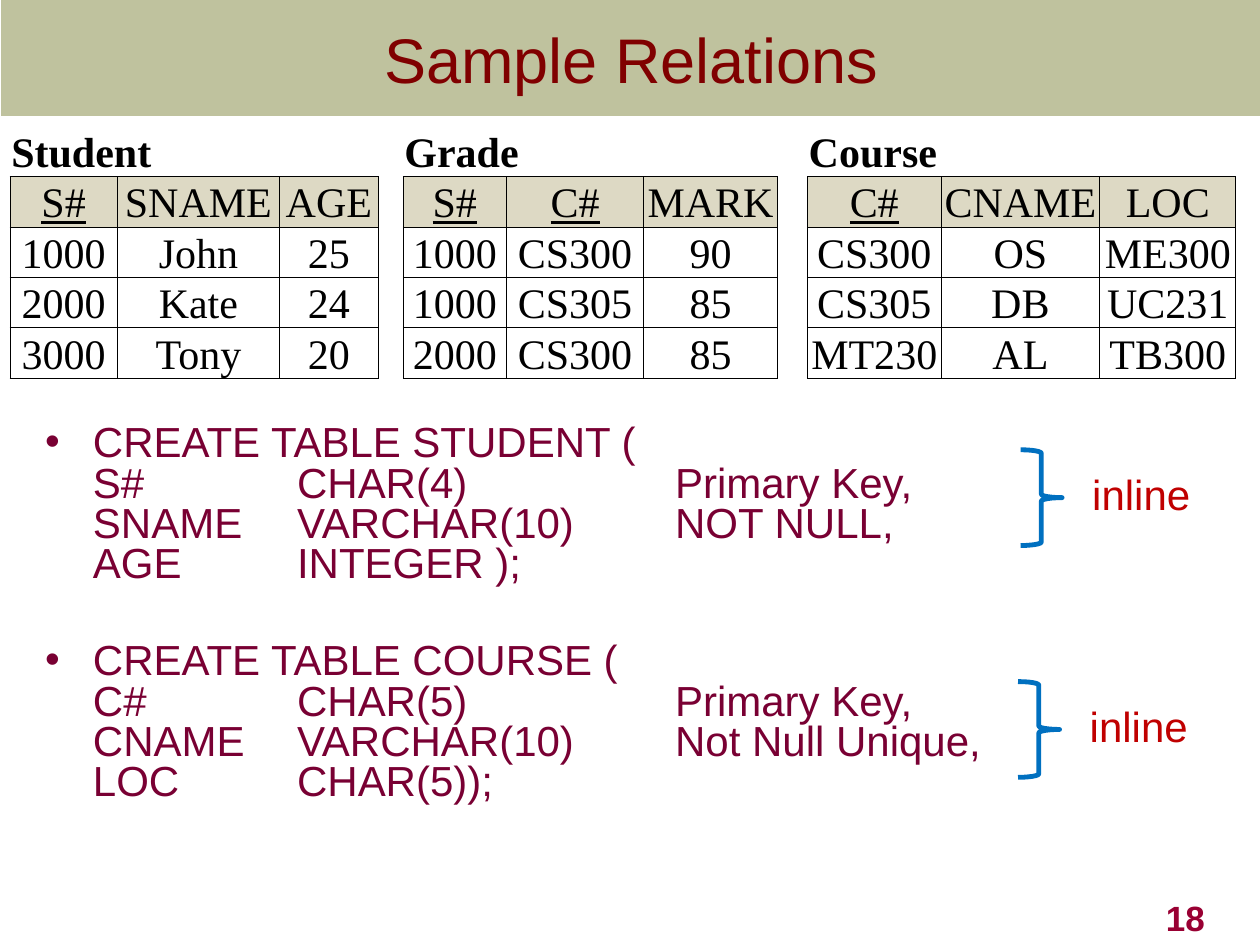
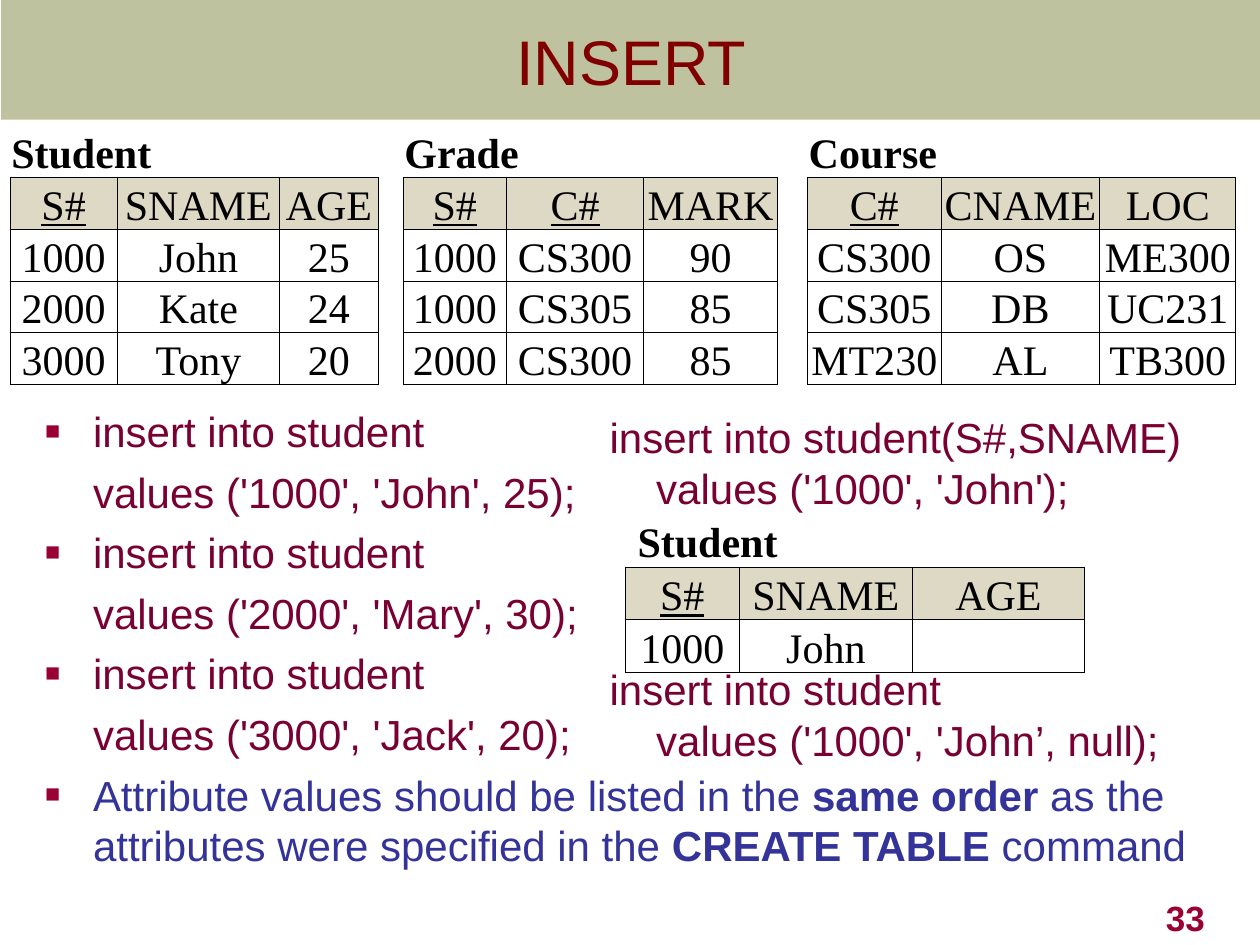
from dataclasses import dataclass

from lxml import etree
from pptx import Presentation
from pptx import util as u
from pptx.dml.color import RGBColor
from pptx.enum import shapes, text
from pptx.oxml.ns import qn

Inches, Pt = u.Inches, u.Pt

COLORS = {
    "band": "6E7524", "title": "800000", "code": "790033", "number": "990033",
    "note": "333399", "inline": "C00000", "brace": "0070C0",
    "header": "DDD9C4", "cell": "FFFFFF", "ink": "000000",
}
SANS, SERIF = "Arial", "Times New Roman"
HANG = 0.38


@dataclass
class Relation:
    name: str
    header: list[str]
    keys: int  # number of leading key columns, underlined
    widths: list[float]
    rows: list[list[str]]


@dataclass
class Line:
    runs: list[tuple[str, bool]]
    color: str = "code"
    bullet: str = ""
    margin: float = HANG
    before: float = 5.8
    spacing: float = 1.0


STUDENT = Relation("Student", ["S#", "SNAME", "AGE"], 1, [0.85, 1.29, 0.78],
                   [["1000", "John", "25"], ["2000", "Kate", "24"], ["3000", "Tony", "20"]])
GRADE = Relation("Grade", ["S#", "C#", "MARK"], 2, [0.82, 1.09, 1.06],
                 [["1000", "CS300", "90"], ["1000", "CS305", "85"], ["2000", "CS300", "85"]])
COURSE = Relation("Course", ["C#", "CNAME", "LOC"], 1, [1.06, 1.26, 1.08],
                  [["CS300", "OS", "ME300"], ["CS305", "DB", "UC231"], ["MT230", "AL", "TB300"]])
INSERTED = Relation("Student", ["S#", "SNAME", "AGE"], 1, [0.91, 1.37, 1.37],
                    [["1000", "John", ""]])


def rgb(name: str) -> RGBColor:
    return RGBColor.from_string(COLORS[name])


def add_text(p, content: str, *, size=24, color="code", font=SANS, bold=False, underline=False) -> None:
    for i, part in enumerate(content.split("\n")):
        if i:
            p.add_line_break()
        r = p.add_run()
        r.text = part
        r.font.size, r.font.name = Pt(size), font
        r.font.bold, r.font.underline = bold, underline
        r.font.color.rgb = rgb(color)


def add_box(s, left: float, top: float, width: float, height: float, wrap=True):
    tf = s.shapes.add_textbox(Inches(left), Inches(top), Inches(width), Inches(height)).text_frame
    tf.word_wrap = wrap
    return tf


# Shared slide parts
def add_slide(prs, title: str, number: str, band_height: float):
    s = prs.slides.add_slide(prs.slide_layouts[5])
    sp = s.shapes.title
    sp.left, sp.top = Inches(0.01), Inches(0)
    sp.width, sp.height = Inches(10), Inches(band_height)
    sp.fill.solid()
    sp.fill.fore_color.rgb = rgb("band")
    color = sp.fill._xPr.find(qn("a:solidFill"))[0]
    etree.SubElement(color, qn("a:alpha"), val="44000")
    tf = sp.text_frame
    tf.auto_size = text.MSO_AUTO_SIZE.NONE
    tf.vertical_anchor = text.MSO_ANCHOR.MIDDLE
    p = tf.paragraphs[0]
    p.alignment = text.PP_ALIGN.CENTER
    add_text(p, title, size=36, color="title")

    tf = add_box(s, 7.58, 7, 2.08, 0.5)
    tf.vertical_anchor = text.MSO_ANCHOR.BOTTOM
    p = tf.paragraphs[0]
    p.alignment = text.PP_ALIGN.RIGHT
    add_text(p, number, size=20, color="number", bold=True)
    return s


# Relation tables
def style_cell(cell, fill: str, edges: str, inset: float = 0.01, top: float = 0.01) -> None:
    cell.fill.solid()
    cell.fill.fore_color.rgb = rgb(fill)
    cell.vertical_anchor = text.MSO_ANCHOR.BOTTOM
    cell.margin_left, cell.margin_right = Inches(inset), Inches(0.01)
    cell.margin_top, cell.margin_bottom = Inches(top), Inches(0)
    cell.text_frame.paragraphs[0].font.size = Pt(12)
    tc_pr = cell._tc.get_or_add_tcPr()
    for i, side in enumerate("LRTB"):
        ln = etree.Element(qn(f"a:ln{side}"), w=str(Pt(0.5)))
        if side in edges:
            solid = etree.SubElement(ln, qn("a:solidFill"))
            etree.SubElement(solid, qn("a:srgbClr"), val=COLORS["ink"])
        else:
            etree.SubElement(ln, qn("a:noFill"))
        tc_pr.insert(i, ln)


def add_relations(s, relations: list[Relation], left: float, top: float, row_height: float,
                  gaps: tuple[float, ...] = (), name_inset=0.01, cell_top=0.01) -> None:
    widths = list(relations[0].widths)
    for gap, rel in zip(gaps, relations[1:]):
        widths += [gap, *rel.widths]
    count = len(relations[0].rows) + 2
    tb = s.shapes.add_table(count, len(widths), Inches(left), Inches(top),
                            Inches(sum(widths)), Inches(row_height * count)).table
    tb.first_row = tb.horz_banding = False
    for col, width in zip(tb.columns, widths):
        col.width = Inches(width)
    for row in tb.rows:
        row.height = Inches(row_height)

    first = 0
    for rel in relations:
        last = first + len(rel.header) - 1
        for c in range(first, last + 1):
            style_cell(tb.cell(0, c), "cell", "B", name_inset, cell_top)
        name = tb.cell(0, first)
        name.merge(tb.cell(0, last))
        add_text(name.text_frame.paragraphs[0], rel.name, color="ink", font=SERIF, bold=True)
        for i, row in enumerate([rel.header, *rel.rows]):
            for j, value in enumerate(row):
                cell = tb.cell(i + 1, first + j)
                style_cell(cell, "cell" if i else "header", "LRTB", top=cell_top)
                p = cell.text_frame.paragraphs[0]
                p.alignment = text.PP_ALIGN.CENTER
                if value:
                    add_text(p, value, color="ink", font=SERIF, underline=i == 0 and j < rel.keys)
        if last + 1 < len(widths):
            for r in range(count):
                style_cell(tb.cell(r, last + 1), "cell", "LR" if r else "", top=cell_top)
        first = last + 2


# Code and notes
def add_lines(tf, lines: list[Line], bullet_format: bool = False) -> None:
    for i, line in enumerate(lines):
        p = tf.add_paragraph() if i else tf.paragraphs[0]
        p.space_before, p.line_spacing = Pt(line.before), line.spacing
        p_pr = p._p.get_or_add_pPr()
        p_pr.set("marL", str(Inches(line.margin)))
        p_pr.set("indent", str(-Inches(HANG) if line.bullet else 0))
        p_pr.set("defTabSz", str(Inches(1)))
        if line.bullet:
            if bullet_format:
                color = etree.SubElement(p_pr, qn("a:buClr"))
                etree.SubElement(color, qn("a:srgbClr"), val=COLORS["number"])
                etree.SubElement(p_pr, qn("a:buSzPct"), val="60000")
            etree.SubElement(p_pr, qn("a:buFont"), typeface=SANS)
            etree.SubElement(p_pr, qn("a:buChar"), char=line.bullet)
        for content, bold in line.runs:
            add_text(p, content, color=line.color, bold=bold)


def add_body(s, left: float, top: float, width: float, height: float, lines: list[Line],
             bullet_format: bool = False) -> None:
    tf = add_box(s, left, top, width, height)
    tf.margin_right = 0
    add_lines(tf, lines, bullet_format)


def add_inline_mark(s, left: float, top: float) -> None:
    sp = s.shapes.add_shape(shapes.MSO_SHAPE.RIGHT_BRACE, Inches(left), Inches(top),
                            Inches(0.33), Inches(0.76))
    sp.shadow.inherit = False
    sp.fill.background()
    sp.line.color.rgb = rgb("brace")
    sp.line.width = Pt(2.75)
    tf = add_box(s, left + 0.47, top + 0.1, 1.08, 0.5, wrap=False)
    add_text(tf.paragraphs[0], "inline", color="inline")


def build_sample_relations(prs) -> None:
    s = add_slide(prs, "Sample Relations", "18", 0.92)
    statements = [
        "CREATE TABLE STUDENT (\nS#\t\tCHAR(4)\t\tPrimary Key,\n"
        "SNAME\tVARCHAR(10)\tNOT NULL,\nAGE\tINTEGER );",
        "CREATE TABLE COURSE (\nC#\t\tCHAR(5)\t\tPrimary Key,\n"
        "CNAME\tVARCHAR(10)\tNot Null Unique,\nLOC\tCHAR(5));",
    ]
    # The second statement stands clear of the first
    add_body(s, 0.26, 3.33, 9.07, 3.67,
             [Line([(code, False)], bullet="•", before=before, spacing=0.8)
              for code, before in zip(statements, (4.8, 32.4))])
    add_relations(s, [STUDENT, GRADE, COURSE], 0.08, 1, 0.38, (0.2, 0.24), cell_top=0)
    add_inline_mark(s, 8.1, 3.57)
    add_inline_mark(s, 8.08, 5.41)


def build_insert(prs) -> None:
    s = add_slide(prs, "INSERT", "33", 0.95)
    lines = []
    for values in ("'1000', 'John', 25", "'2000', 'Mary', 30", "'3000', 'Jack', 20"):
        lines += [Line([("insert into student", False)], bullet="■"),
                  Line([(f"values ({values});", False)])]
    lines.append(Line([("Attribute values should be listed in the ", False), ("same order", True),
                       (" as the attributes were specified in the ", False),
                       ("CREATE TABLE", True), (" command", False)], "note", "■"))
    add_body(s, 0.26, 3.17, 9.49, 3.5, lines, bullet_format=True)

    # Two ways to leave a value out
    for top, target, values in ((3.22, "student(S#,SNAME)", "'1000', 'John'"),
                                (5.22, "student", "'1000', 'John’, null")):
        add_lines(add_box(s, 4.74, top, 5, 0.91),
                  [Line([(f"insert into {target}", False)], margin=0, before=0),
                   Line([(f"values ({values});", False)], margin=0.37, before=0)])
    add_relations(s, [INSERTED], 4.96, 4.08, 0.42, name_inset=0.1)
    add_relations(s, [STUDENT, GRADE, COURSE], 0.08, 1, 0.41, (0.2, 0.24))


def main() -> None:
    prs = Presentation()
    prs.slide_width, prs.slide_height = Inches(10), Inches(7.5)
    build_sample_relations(prs)
    build_insert(prs)
    prs.save("out.pptx")


if __name__ == "__main__":
    main()
